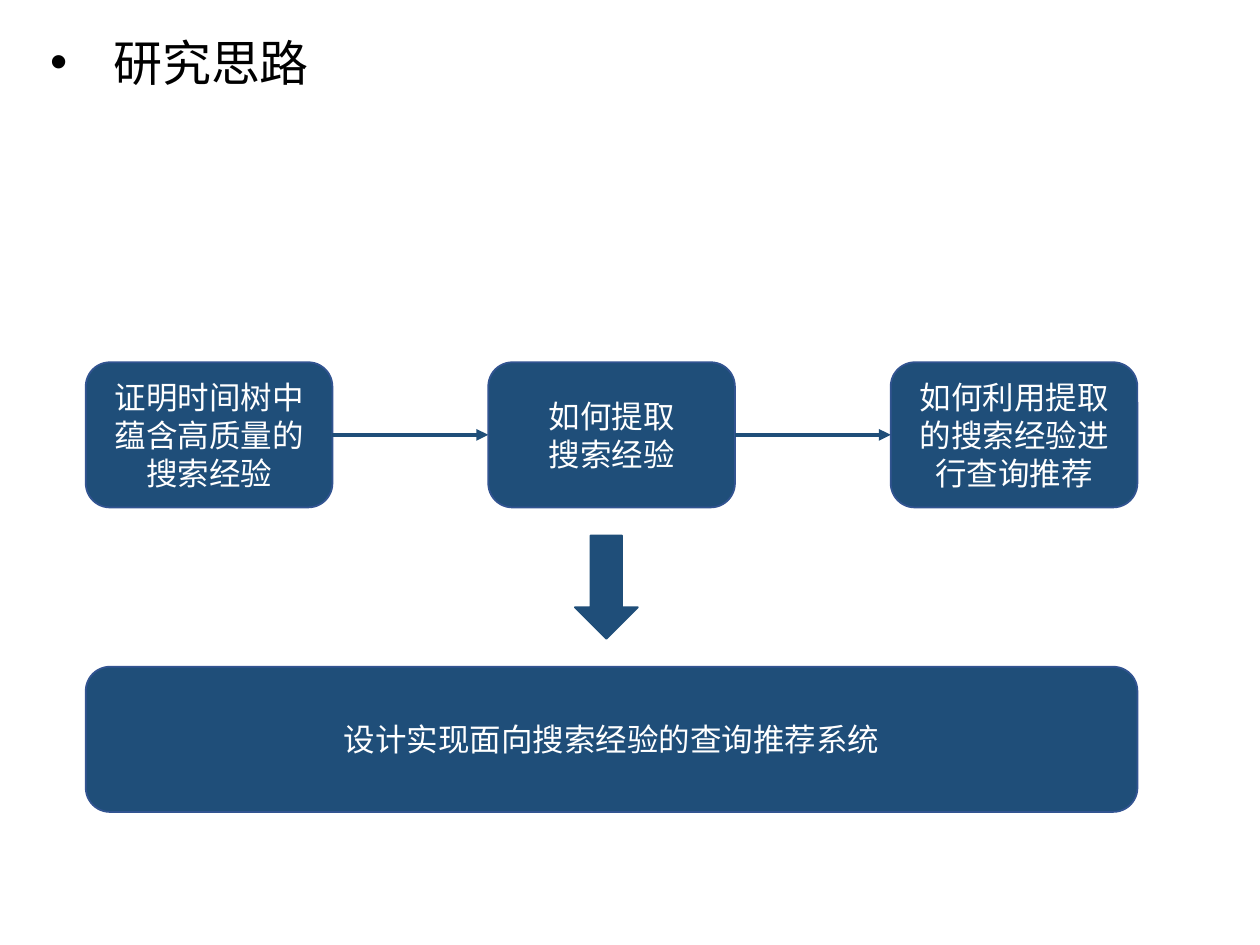
from lxml import etree
from pptx import Presentation
from pptx import util as u
from pptx.dml.color import RGBColor
from pptx.enum import shapes, text
from pptx.oxml.ns import qn

Pt = u.Pt
FONT = "Noto Sans CJK SC"
NAVY, EDGE, WHITE, BLACK = "1F4E79", "325491", "FFFFFF", "000000"
STEPS = ["证明时间树中蕴含高质量的搜索经验",
         "如何提取\n搜索经验",
         "如何利用提取的搜索经验进行查询推荐"]
RESULT = "设计实现面向搜索经验的查询推荐系统"


def color(value):
    return RGBColor.from_string(value)


def set_text(tf, words, size, fill, align, anchor):
    frame = {"word_wrap": True, "vertical_anchor": anchor}
    for name, value in frame.items():
        setattr(tf, name, value)
    tf.text = words
    for p in tf.paragraphs:
        p.alignment = align
        for r in p.runs:
            font = {"name": FONT, "size": Pt(size), "bold": False}
            for name, value in font.items():
                setattr(r.font, name, value)
            r.font.color.rgb = color(fill)
            # East Asian text takes its own typeface
            etree.SubElement(r._r.rPr, qn("a:ea")).set("typeface", FONT)


def add_block(s, kind, x, y, w, h, line, words=""):
    sp = s.shapes.add_shape(kind, Pt(x), Pt(y), Pt(w), Pt(h))
    sp.shadow.inherit = False
    sp.fill.solid()
    sp.fill.fore_color.rgb = color(NAVY)
    sp.line.color.rgb = color(line)
    sp.line.width = Pt(1)
    if words:
        set_text(sp.text_frame, words, 18, WHITE,
                 text.PP_ALIGN.CENTER, text.MSO_ANCHOR.MIDDLE)
    return sp


def add_arrow(s, x1, x2, y):
    line = s.shapes.add_connector(shapes.MSO_CONNECTOR.STRAIGHT,
                                  Pt(x1), Pt(y), Pt(x2), Pt(y))
    line.line.color.rgb = color(NAVY)
    line.line.width = Pt(2.25)
    etree.SubElement(line.line._get_or_add_ln(), qn("a:tailEnd")).set("type", "triangle")
    etree.SubElement(line._element.spPr, qn("a:effectLst"))


def add_title(s, x, y, w, h):
    sp = s.shapes.title
    box = {"left": x, "top": y, "width": w, "height": h}
    for name, value in box.items():
        setattr(sp, name, Pt(value))
    tf = sp.text_frame
    set_text(tf, "研究思路", 28, BLACK, text.PP_ALIGN.LEFT, text.MSO_ANCHOR.TOP)
    tf.auto_size = text.MSO_AUTO_SIZE.NONE
    # Bullet with a hanging indent
    pPr = tf.paragraphs[0]._p.get_or_add_pPr()
    pPr.set("marL", str(Pt(36)))
    pPr.set("indent", str(Pt(-36)))
    etree.SubElement(pPr, qn("a:buFont")).set("typeface", "Arial")
    etree.SubElement(pPr, qn("a:buChar")).set("char", "•")


def add_flow(s, x, y, w, h):
    step_w, step_h = 141, 83
    pitch = (w - step_w) / (len(STEPS) - 1)
    rounded = shapes.MSO_SHAPE.ROUNDED_RECTANGLE

    # Steps, joined from left to right
    for i, words in enumerate(STEPS):
        left = x + i * pitch
        add_block(s, rounded, left, y, step_w, step_h, EDGE, words)
        if i:
            add_arrow(s, left - pitch + step_w, left, y + step_h / 2)

    # Result along the bottom
    add_block(s, rounded, x, y + h - step_h, w, step_h, EDGE, RESULT)

    # Block arrow centred in the gap between the rows
    arrow_w, arrow_h = 36, 59
    add_block(s, shapes.MSO_SHAPE.DOWN_ARROW, x + w / 2 - arrow_w / 2 - 3,
              y + (h - arrow_h) / 2, arrow_w, arrow_h, NAVY)


def main():
    prs = Presentation()
    prs.slide_width, prs.slide_height = Pt(720), Pt(540)
    s = prs.slides.add_slide(prs.slide_layouts[5])
    add_title(s, 21.5, 15, 307, 41)
    add_flow(s, 49, 207, 601, 257)
    prs.save("out.pptx")


if __name__ == "__main__":
    main()
